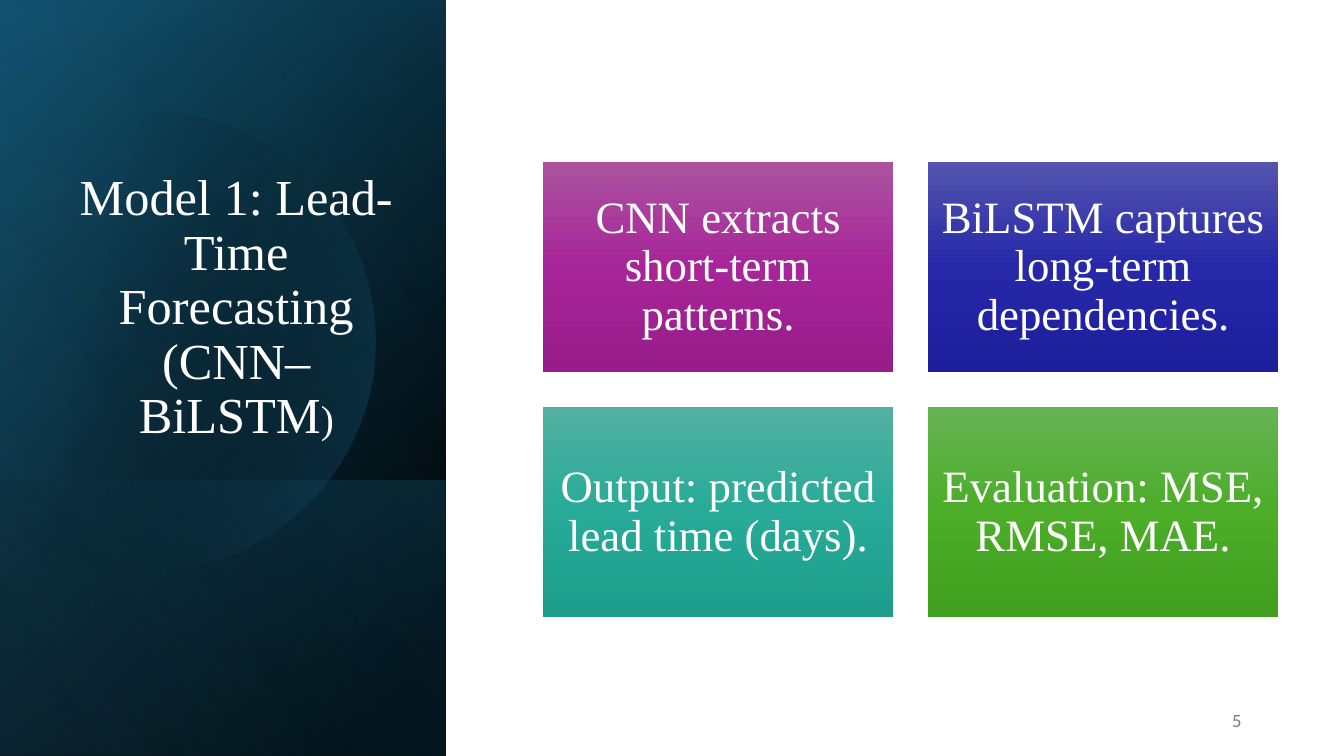
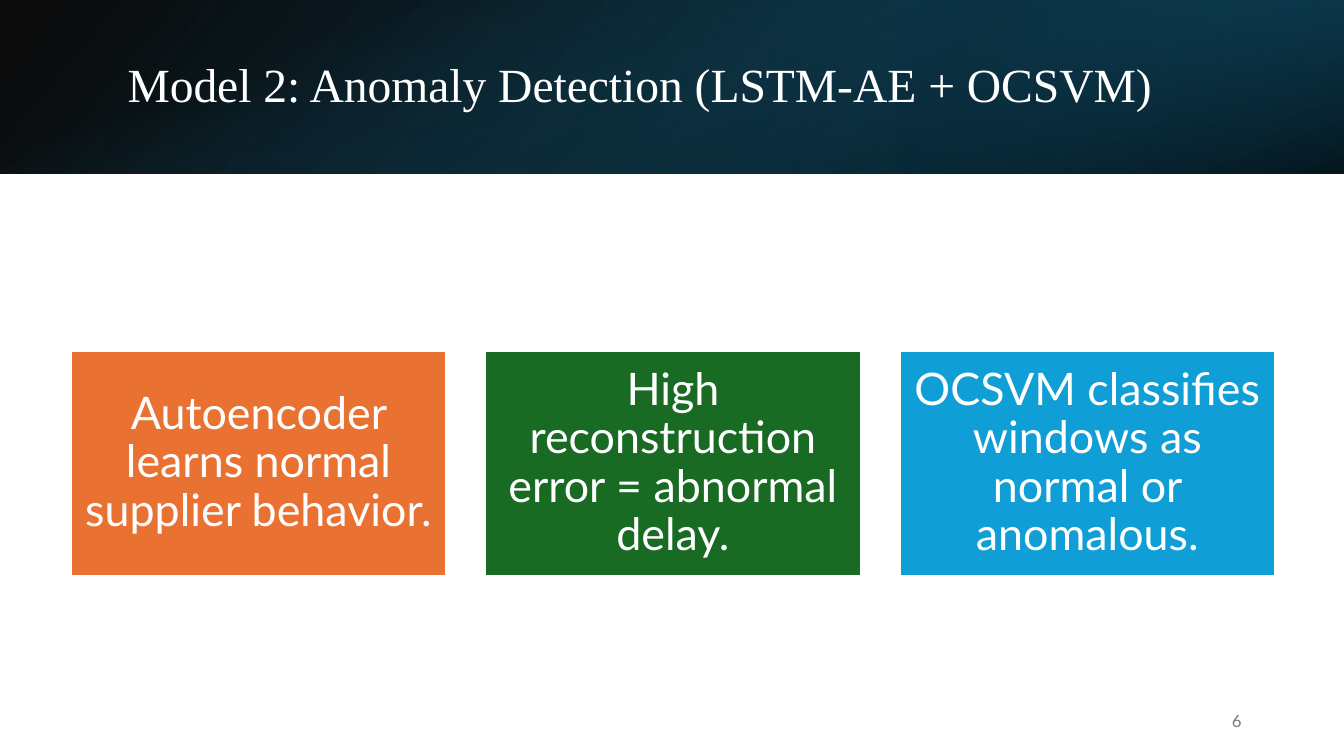
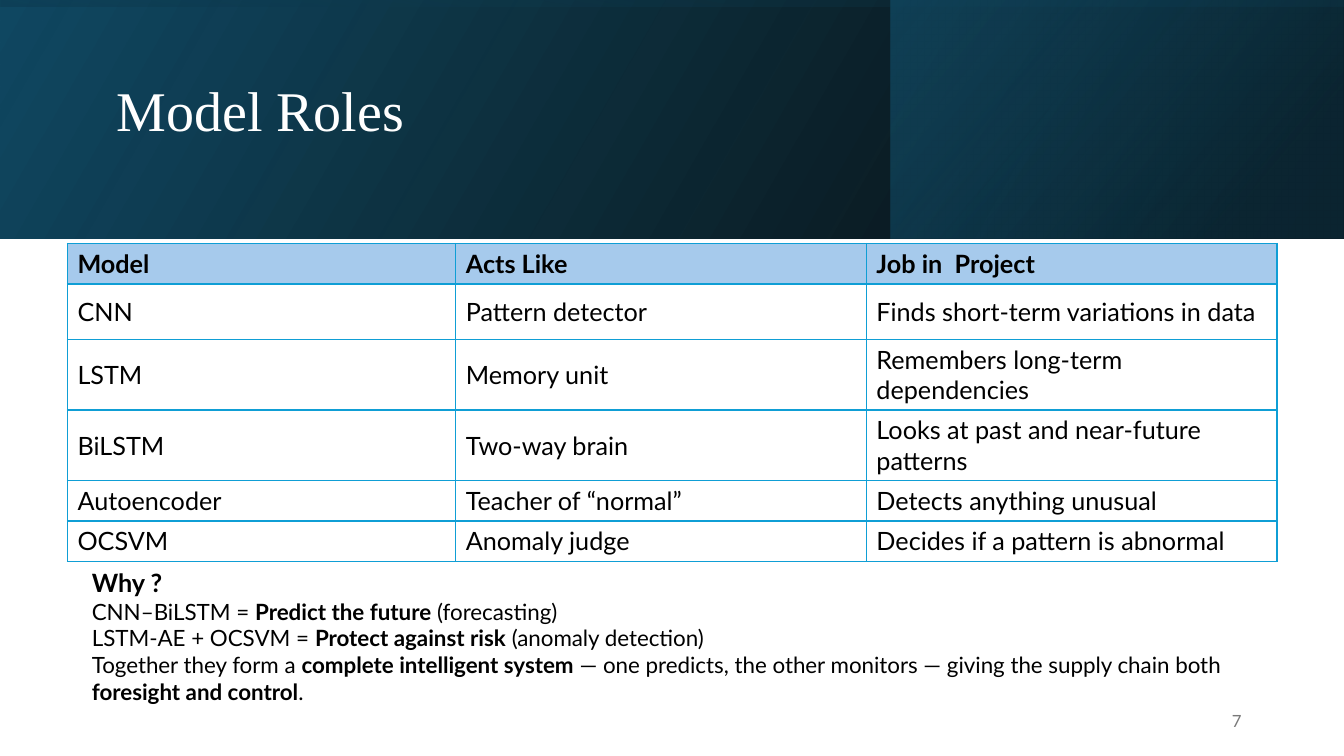
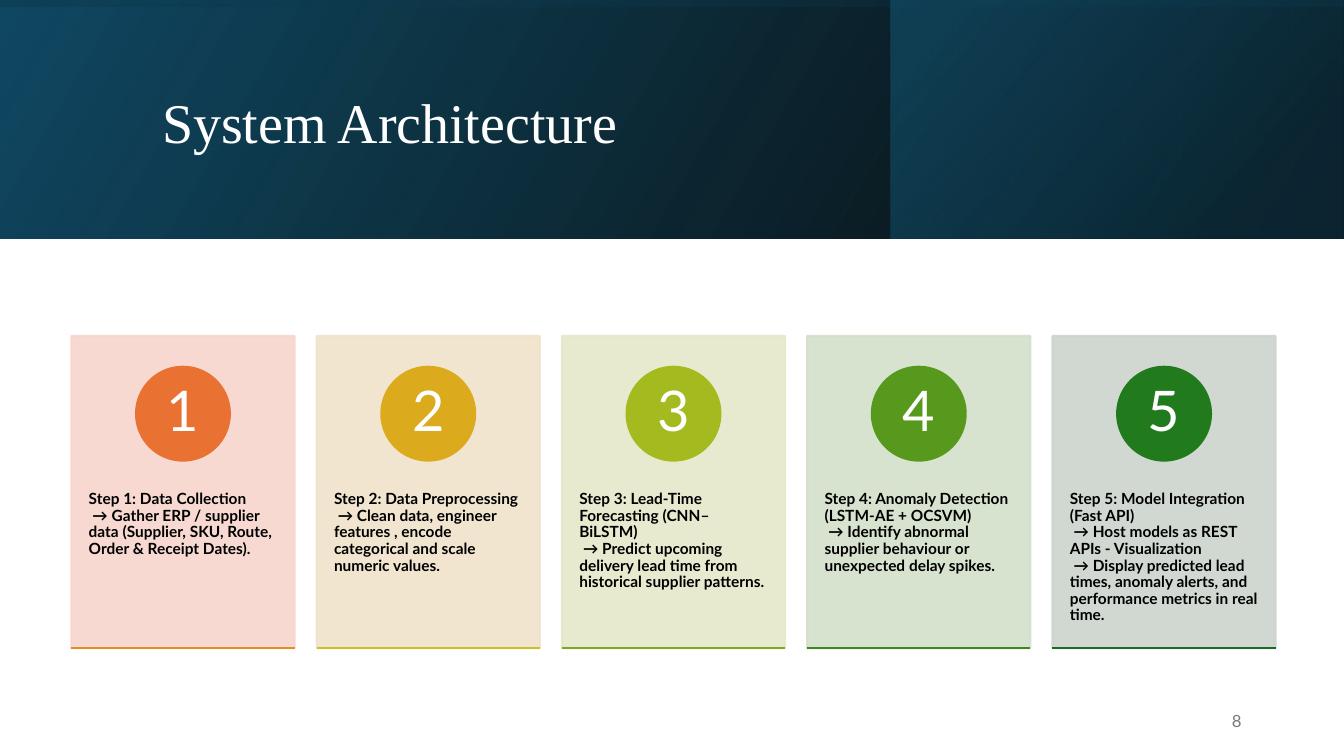
"""Build four slides on the forecasting and anomaly models of a supply chain project."""
from dataclasses import dataclass

from lxml import etree
from pptx import Presentation
from pptx.dml.color import RGBColor as RGB
from pptx.enum.shapes import MSO_CONNECTOR as CONN, MSO_SHAPE as SHAPE
from pptx.enum.text import MSO_ANCHOR as ANCHOR, PP_ALIGN as ALIGN
from pptx.oxml.ns import qn
from pptx.util import Pt


@dataclass(frozen=True)
class Theme:
    serif: str = "Times New Roman"
    sans: str = "Lato"
    white: str = "FFFFFF"
    black: str = "000000"
    grey: str = "797979"
    navy: str = "104862"
    teal: str = "156082"
    deep: str = "0B3041"
    sky: str = "46B1E1"
    blue: str = "0F9ED5"
    header: str = "A6CAEC"
    title: float = 40
    title_mid: float = 36
    title_low: float = 34
    title_end: float = 27.9
    tile: float = 32
    table: float = 18
    body: float = 16
    note: float = 12
    step: float = 11


T = Theme()
W, H = 960, 540
SIDE_W, SLIM_H, TALL_H = 318.5, 124, 170.6

SIDE_BANDS = [
    ((0, 0, SIDE_W, H), 90, True, [(8, T.black, 100), (100, T.navy, 100)], 50),
    ((0, 0, SIDE_W, H), 90, True, [(0, T.black, 0), (99, T.teal, 46)], 30),
    ((0, 343, SIDE_W, 197), 90, True, [(2, T.teal, 29), (100, T.black, 30)], 130),
]
SIDE_GLOSS = ((0, 0, SIDE_W, H), 90, True, [(0, T.black, 0), (99, T.sky, 11)], 120)
SLIM_BANDS = [
    ((0, 0, W, SLIM_H), 0, True, [(0, T.black, 96), (100, T.navy, 100)], 140),
    ((640, 0, 320, SLIM_H), 180, True, [(19, T.deep, 68), (100, T.teal, 79)], 320),
    ((0, 0, W, SLIM_H), 90, False, [(23, T.teal, 0), (99, T.black, 74)], 340),
]
TALL_BANDS = [
    ((0, 0, W, TALL_H), 0, True, [(0, T.black, 96), (100, T.navy, 100)], 330),
    ((636.5, 0, 323, TALL_H), 0, True, [(19, T.deep, 68), (100, T.teal, 48)], 320),
    ((0, 0, W, TALL_H), 270, True, [(23, T.navy, 16), (99, T.black, 45)], 350),
]
DISC_START = (0, 115.9)
DISC_CURVES = [
    ((16.6, 102.2), (36, 92), (57.6, 85.7)),
    ((74.2, 81.4), (90.7, 79.2), (107.3, 79.2)),
    ((177.1, 80.6), (241.2, 127.4), (261.4, 198)),
    ((286.6, 285.8), (236.2, 376.6), (149, 401.8)),
    ((94.3, 417.6), (38.2, 403.9), (0, 371.6)),
]
DISC_STOPS, DISC_ANGLE = [(29, T.black, 0), (100, T.teal, 43)], 13.9

FORECAST_TILES = [
    ("CNN extracts short-term patterns.", ("AC53A0", "A62598", "991C8B")),
    ("BiLSTM captures long-term dependencies.", ("5354AE", "2628A8", "1D1E9B")),
    ("Output: predicted lead time (days).", ("53B0A1", "27AB98", "1D9D8B")),
    ("Evaluation: MSE, RMSE, MAE.", ("66B354", "4BAD28", "409F1E")),
]
ANOMALY_TILES = [
    ("Autoencoder learns normal supplier behavior.", "E97132"),
    ("High reconstruction error = abnormal delay.", "196B24"),
    ("OCSVM classifies windows as normal or anomalous.", T.blue),
]
ROLES = [
    ("Model", "Acts Like", "Job in  Project"),
    ("CNN", "Pattern detector", "Finds short-term variations in data"),
    ("LSTM", "Memory unit", "Remembers long-term dependencies"),
    ("BiLSTM", "Two-way brain", "Looks at past and near-future patterns"),
    ("Autoencoder", "Teacher of “normal”", "Detects anything unusual"),
    ("OCSVM", "Anomaly judge", "Decides if a pattern is abnormal"),
]
ROLE_COLS = (277.4, 293.3, 293.3)
ROLE_ROWS = (28.8, 39.6, 50.4, 50.4, 28.8, 28.8)
WHY = [
    [("Why ?", T.table, True)],
    [("CNN–BiLSTM = ", T.body, False), ("Predict the future", T.body, True),
     (" (forecasting)", T.body, False)],
    [("LSTM-AE + OCSVM = ", T.body, False), ("Protect against risk", T.body, True),
     (" (anomaly detection)", T.body, False)],
    [("Together they form a ", T.body, False),
     ("complete intelligent system", T.body, True),
     (" — one predicts, the other monitors — giving the supply chain both ",
      T.body, False),
     ("foresight and control", T.body, True), (".", T.body, False)],
]
STEPS = [
    ("Step 1: Data Collection\n → Gather ERP / supplier data (Supplier, SKU, Route, "
     "Order & Receipt Dates).", "F7D5CE", "E97132", "E58D25"),
    ("Step 2: Data Preprocessing\n → Clean data, engineer features , encode "
     "categorical and scale numeric values.", "F0E3CB", "DCAB1D", "CBC11E"),
    ("Step 3: Lead-Time Forecasting (CNN–BiLSTM)\n → Predict upcoming delivery lead "
     "time from historical supplier patterns.", "E5E8CA", "A4BA1E", "7AAA1E"),
    ("Step 4: Anomaly Detection (LSTM-AE + OCSVM)\n → Identify abnormal supplier "
     "behaviour or unexpected delay spikes.", "D3DFCA", "56991D", "398A1C"),
    ("Step 5: Model Integration (Fast API)\n → Host models as REST APIs - "
     "Visualization\n → Display predicted lead times, anomaly alerts, and "
     "performance metrics in real time.", "CCD4CD", "217A1B", "196B24"),
]


def pts(*values):
    return [Pt(v) for v in values]


def write(tf, paras, color, font=T.sans, align=ALIGN.LEFT, anchor=ANCHOR.TOP,
          insets=(7.2, 3.6, 7.2, 3.6), spacing=None):
    tf.word_wrap = True
    tf.vertical_anchor = anchor
    tf.margin_left, tf.margin_top, tf.margin_right, tf.margin_bottom = pts(*insets)
    for i, runs in enumerate(paras):
        p = tf.add_paragraph() if i else tf.paragraphs[0]
        p.alignment = align
        if spacing:
            p.line_spacing = spacing
        for text, size, bold in runs:
            for j, line in enumerate(text.split("\n")):
                if j:
                    p.add_line_break()
                r = p.add_run()
                r.text = line
                r.font.name, r.font.size, r.font.bold = font, Pt(size), bold
                r.font.color.rgb = RGB.from_string(color)


def add_text(slide, box, paras, color, **style):
    write(slide.shapes.add_textbox(*pts(*box)).text_frame, paras, color, **style)


def add_title(slide, box, runs, align=ALIGN.LEFT, anchor=ANCHOR.MIDDLE):
    add_text(slide, box, [runs], T.white, font=T.serif, align=align,
             anchor=anchor, spacing=0.9)


def set_alpha(parent, percent):
    for clr in parent.iter(qn("a:srgbClr")):
        etree.SubElement(clr, qn("a:alpha"), val=str(percent * 1000))


def set_gradient(sp, stops, angle):
    sp.fill.gradient()
    grad = sp.element.spPr.find(qn("a:gradFill"))
    gs_list = grad.find(qn("a:gsLst"))
    for gs in list(gs_list):
        gs_list.remove(gs)
    for pos, color, alpha in stops:
        gs = etree.SubElement(gs_list, qn("a:gs"), pos=str(pos * 1000))
        etree.SubElement(gs, qn("a:srgbClr"), val=color)
        set_alpha(gs, alpha)
    grad.find(qn("a:lin")).set("ang", str(round(angle * 60000)))


def add_shape(slide, box, fill=None, line=None, kind=SHAPE.RECTANGLE):
    sp = slide.shapes.add_shape(kind, *pts(*box))
    sp.shadow.inherit = False
    if fill:
        sp.fill.solid()
        sp.fill.fore_color.rgb = RGB.from_string(fill)
    if line:
        sp.line.color.rgb = RGB.from_string(line)
        sp.line.width = Pt(1.5)
    else:
        sp.line.fill.background()
    return sp


def add_band(slide, box, turn, flip, stops, angle):
    x, y, w, h = box
    if turn in (90, 270):
        x, y, w, h = x + (w - h) / 2, y + (h - w) / 2, h, w
    sp = add_shape(slide, (x, y, w, h))
    sp.rotation = turn
    if flip:
        sp.element.spPr.find(qn("a:xfrm")).set("flipH", "1")
    set_gradient(sp, stops, angle)


def add_disc(slide):
    points, start = [], DISC_START
    for a, b, end in DISC_CURVES:
        for k in range(1, 25):
            t = k / 24
            u = 1 - t
            points.append(tuple(
                Pt(u**3 * s + 3 * u * u * t * c + 3 * u * t * t * d + t**3 * e)
                for s, c, d, e in zip(start, a, b, end)))
        start = end
    builder = slide.shapes.build_freeform(*pts(*DISC_START))
    builder.add_line_segments(points, close=True)
    sp = builder.convert_to_shape()
    sp.shadow.inherit = False
    sp.line.fill.background()
    set_gradient(sp, DISC_STOPS, DISC_ANGLE)


def write_tile(sp, text, font):
    write(sp.text_frame, [[(text, T.tile, False)]], T.white, font=font,
          align=ALIGN.CENTER, anchor=ANCHOR.MIDDLE, insets=(9.4,) * 4, spacing=0.9)


def new_slide(prs, number, bands):
    slide = prs.slides.add_slide(prs.slide_layouts[6])
    for band in bands:
        add_band(slide, *band)
    add_text(slide, (678, 500.4, 216, 28.8), [[(str(number), T.note, False)]],
             T.grey, align=ALIGN.RIGHT, anchor=ANCHOR.MIDDLE)
    return slide


def forecasting(prs, number):
    slide = new_slide(prs, number, SIDE_BANDS)
    add_disc(slide)
    add_band(slide, *SIDE_GLOSS)
    add_title(slide, (46, 132.5, 245.5, 188.6),
              [("Model 1: Lead-Time Forecasting (CNN–BiLSTM", T.title_mid, False),
               (")", T.title_end, False)], ALIGN.CENTER, ANCHOR.BOTTOM)
    w, h, gap = 250, 150, 25
    for i, (text, colors) in enumerate(FORECAST_TILES):
        row, col = divmod(i, 2)
        sp = add_shape(slide, (388 + col * (w + gap), 116 + row * (h + gap), w, h))
        set_gradient(sp, [(k * 50, c, 100) for k, c in enumerate(colors)], 90)
        write_tile(sp, text, T.serif)


def anomaly(prs, number):
    slide = new_slide(prs, number, SLIM_BANDS)
    add_title(slide, (84, 27.4, 790.5, 69),
              [("Model 2: Anomaly Detection (LSTM-AE + OCSVM)", T.title_low, False)])
    for i, (text, color) in enumerate(ANOMALY_TILES):
        sp = add_shape(slide, (50.5 + i * 296, 250.5, 268.5, 161), color, T.white)
        write_tile(sp, text, T.sans)


def set_borders(cell):
    tc_pr = cell.fill._xPr
    for i, tag in enumerate(("a:lnL", "a:lnR", "a:lnT", "a:lnB")):
        ln = etree.Element(qn(tag), w=str(Pt(1)))
        fill = etree.SubElement(ln, qn("a:solidFill"))
        etree.SubElement(fill, qn("a:srgbClr"), val=T.blue)
        tc_pr.insert(i, ln)


def roles(prs, number):
    slide = new_slide(prs, number, TALL_BANDS)
    add_title(slide, (76.3, 18.7, 765.4, 124), [("Model Roles", T.title, False)])
    table = slide.shapes.add_table(
        len(ROLES), len(ROLE_COLS),
        *pts(48.2, 174, sum(ROLE_COLS), sum(ROLE_ROWS))).table
    table.horz_banding = table.first_row = False
    for col, width in zip(table.columns, ROLE_COLS):
        col.width = Pt(width)
    for i, (height, texts) in enumerate(zip(ROLE_ROWS, ROLES)):
        table.rows[i].height = Pt(height)
        for j, text in enumerate(texts):
            cell = table.cell(i, j)
            write(cell.text_frame, [[(text, T.table, i == 0)]], T.black)
            cell.vertical_anchor = ANCHOR.MIDDLE
            if i == 0:
                cell.fill.solid()
                cell.fill.fore_color.rgb = RGB.from_string(T.header)
            else:
                cell.fill.background()
            set_borders(cell)
    add_text(slide, (58.5, 401.8, 827.3, 106.5), WHY, T.black)


def architecture(prs, number):
    slide = new_slide(prs, number, TALL_BANDS)
    add_title(slide, (108.7, 27.4, 765.4, 124),
              [("System Architecture", T.title, False)])
    w, h, pitch, top, dia = 159.4, 223, 175.2, 240, 67
    for i, (text, pale, badge, base) in enumerate(STEPS):
        x = 51 + i * pitch
        card = add_shape(slide, (x, top, w, h), pale, pale)
        set_alpha(card.element.spPr, 90)
        write(card.text_frame, [[(text, T.step, True)]], T.black,
              insets=(12.4, 110.9, 12.4, 0), spacing=0.9)
        disc = add_shape(slide, (x + (w - dia) / 2, top + 22, dia, dia),
                         badge, badge, SHAPE.OVAL)
        write(disc.text_frame, [[(str(i + 1), T.title, False)]], T.white,
              align=ALIGN.CENTER, anchor=ANCHOR.MIDDLE,
              insets=(5, 0.8, 5, 0.8), spacing=0.9)
        bar = slide.shapes.add_connector(
            CONN.STRAIGHT, *pts(x, top + h, x + w, top + h))
        bar.line.color.rgb = RGB.from_string(base)
        bar.line.width = Pt(1.5)
        etree.SubElement(bar.element.spPr, qn("a:effectLst"))


def main():
    prs = Presentation()
    prs.slide_width, prs.slide_height = pts(W, H)
    for number, build in enumerate((forecasting, anomaly, roles, architecture), 5):
        build(prs, number)
    prs.save("out.pptx")


if __name__ == "__main__":
    main()
